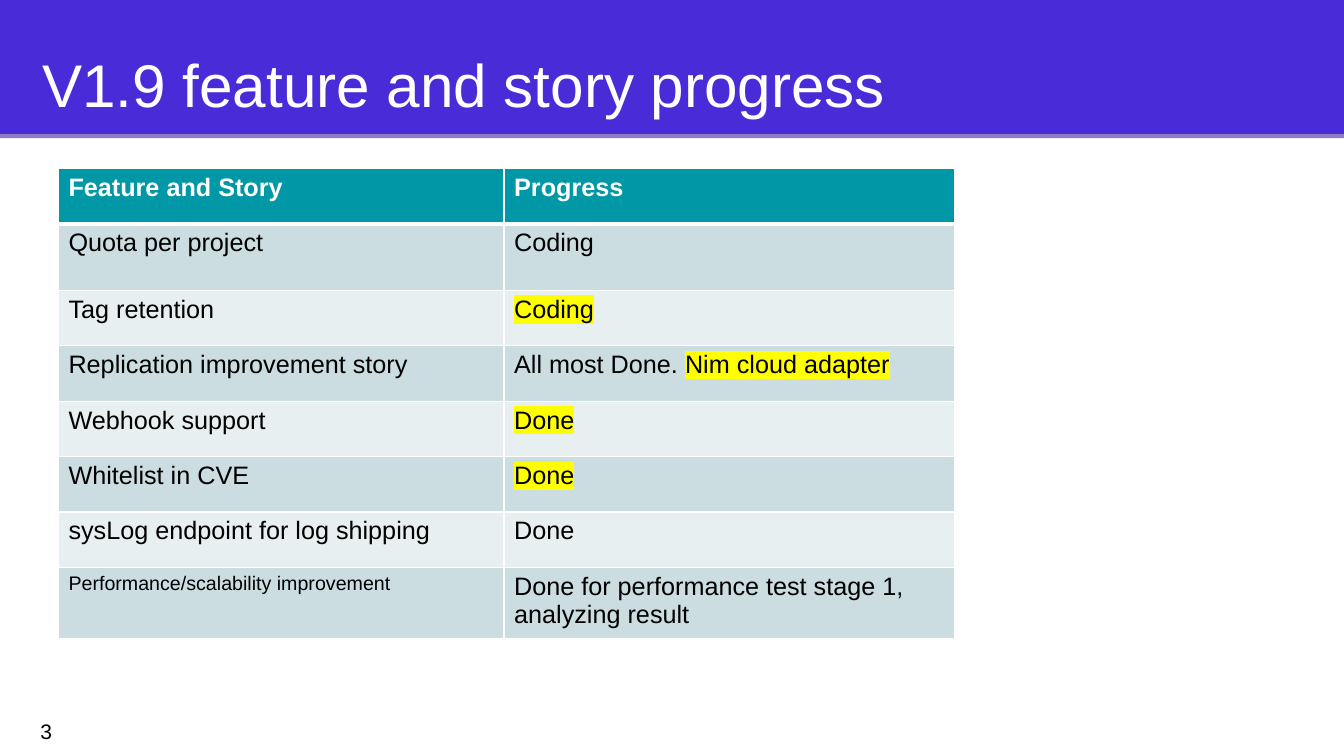
from lxml import etree
from pptx import Presentation
from pptx.dml.color import RGBColor
from pptx.enum import shapes, text
from pptx.oxml import ns
from pptx.util import Inches, Pt

WHITE = RGBColor(0xFF, 0xFF, 0xFF)
BLACK = RGBColor(0, 0, 0)
VIOLET = RGBColor(0x4A, 0x2B, 0xD8)
LILAC = RGBColor(0x8E, 0x7C, 0xC3)
TEAL = RGBColor(0x00, 0x97, 0xA7)
DARK = RGBColor(0xCC, 0xDD, 0xE1)
LIGHT = RGBColor(0xE7, 0xEF, 0xF1)
YELLOW = RGBColor(0xFF, 0xFF, 0x00)

# Each cell is a list of runs: (words, size, marked)
HEADS = ["Feature and Story", "Progress"]
STORIES = [
    ([("Quota per project", 18, False)], [("Coding", 18, False)]),
    ([("Tag retention", 18, False)], [("Coding", 18, True)]),
    ([("Replication improvement story", 18, False)],
     [("All most Done. ", 18, False), ("Nim cloud adapter", 18, True)]),
    ([("Webhook support", 18, False)], [("Done", 18, True)]),
    ([("Whitelist in CVE", 18, False)], [("Done", 18, True)]),
    ([("sysLog endpoint for log shipping", 18, False)], [("Done", 18, False)]),
    ([("Performance/scalability improvement", 14, False)],
     [("Done for performance test stage 1, analyzing result", 18, False)]),
]
WIDTHS = [4.42, 4.47]
HEIGHTS = [0.55, 0.66] + [0.55] * 5 + [0.66]


def add_run(para, words, size, color, bold=False, marked=False):
    run = para.add_run()
    run.text = words
    font = run.font
    font.size, font.bold, font.name = Pt(size), bold, "Arial"
    font.color.rgb = color
    if marked:
        mark = etree.Element(ns.qn("a:highlight"))
        etree.SubElement(mark, ns.qn("a:srgbClr"), val=str(YELLOW))
        run._r.rPr.find(ns.qn("a:latin")).addprevious(mark)


def add_bar(slide, left, top, width, height, color):
    bar = slide.shapes.add_shape(
        shapes.MSO_SHAPE.RECTANGLE,
        Inches(left), Inches(top), Inches(width), Inches(height))
    bar.shadow.inherit = False
    bar.fill.solid()
    bar.fill.fore_color.rgb = color
    bar.line.fill.background()


def add_label(slide, left, top, width, height, words, size, color, anchor):
    box = slide.shapes.add_textbox(
        Inches(left), Inches(top), Inches(width), Inches(height))
    frame = box.text_frame
    frame.word_wrap = True
    frame.vertical_anchor = anchor
    frame.margin_left = frame.margin_right = Inches(0.13)
    frame.margin_top = frame.margin_bottom = Inches(0.13)
    add_run(frame.paragraphs[0], words, size, color)
    return frame.paragraphs[0]


def add_header(slide, left, top, width, height):
    add_bar(slide, left, top, width, height, VIOLET)
    add_bar(slide, left, top + height, width, 0.04, LILAC)
    title = add_label(slide, left + 0.29, top + 0.23, width - 0.91, height - 0.5,
                      "V1.9 feature and story progress", 43, WHITE,
                      text.MSO_ANCHOR.TOP)
    title.line_spacing = 1.15


def style_cell(cell, color, above, below):
    # Borders come before the fill in the cell properties
    props = cell._tc.get_or_add_tcPr()
    for side, width in (("L", 1), ("R", 1), ("T", above), ("B", below)):
        line = etree.SubElement(props, ns.qn(f"a:ln{side}"), w=str(Pt(width)))
        fill = etree.SubElement(line, ns.qn("a:solidFill"))
        etree.SubElement(fill, ns.qn("a:srgbClr"), val=str(WHITE))
    cell.fill.solid()
    cell.fill.fore_color.rgb = color


def add_stories(slide, left, top):
    table = slide.shapes.add_table(
        len(HEIGHTS), len(WIDTHS), Inches(left), Inches(top),
        Inches(sum(WIDTHS)), Inches(sum(HEIGHTS))).table
    for col, width in zip(table.columns, WIDTHS):
        col.width = Inches(width)
    for row, height in zip(table.rows, HEIGHTS):
        row.height = Inches(height)

    # Heading row
    for c, head in enumerate(HEADS):
        cell = table.cell(0, c)
        style_cell(cell, TEAL, 1, 3)
        add_run(cell.text_frame.paragraphs[0], head, 18, WHITE, bold=True)

    # Story rows in alternating shades
    for r, story in enumerate(STORIES, 1):
        for c, runs in enumerate(story):
            cell = table.cell(r, c)
            style_cell(cell, DARK if r % 2 else LIGHT, 3 if r == 1 else 1, 1)
            for words, size, marked in runs:
                add_run(cell.text_frame.paragraphs[0], words, size, BLACK,
                        marked=marked)


def main():
    deck = Presentation()
    deck.slide_width, deck.slide_height = Inches(13.33), Inches(7.5)
    slide = deck.slides.add_slide(deck.slide_layouts[6])
    add_header(slide, 0, 0, 13.33, 1.33)
    add_stories(slide, 0.58, 1.67)
    # Page number
    add_label(slide, 0.27, 6.97, 0.8, 0.57, "3", 15, BLACK,
              text.MSO_ANCHOR.MIDDLE)
    deck.save("out.pptx")


if __name__ == "__main__":
    main()
